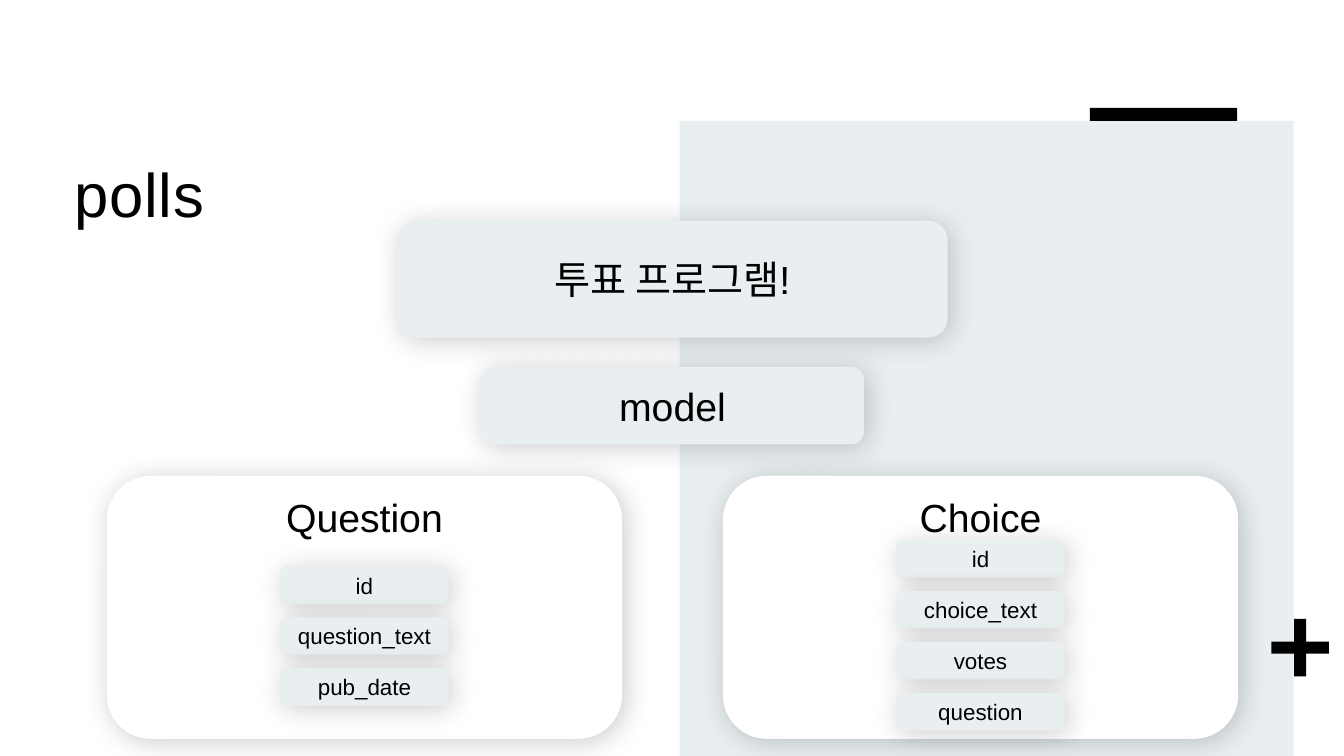
from pptx import Presentation
from pptx.util import Inches, Pt
from pptx.dml.color import RGBColor
from pptx.enum.shapes import MSO_SHAPE
from pptx.enum.text import MSO_ANCHOR, MSO_AUTO_SIZE, PP_ALIGN
from pptx.oxml import parse_xml
from pptx.oxml.ns import nsdecls, qn

THEME = {
    "font": "Arial",
    "ink": RGBColor(0x00, 0x00, 0x00),
    "mist": RGBColor(0xE9, 0xEF, 0xF1),
    "paper": RGBColor(0xFF, 0xFF, 0xFF),
    "title": Pt(44),
    "heading": Pt(28),
    "field": Pt(16),
}
SHADOW = (
    f'<a:outerShdw {nsdecls("a")} blurRad="{Pt(20)}" dist="{Pt(3)}" dir="2700000" '
    'algn="tl" rotWithShape="0"><a:srgbClr val="000000"><a:alpha val="20000"/>'
    '</a:srgbClr></a:outerShdw>'
)


def add_block(kind, box, color):
    s = slide.shapes.add_shape(kind, *[Inches(v) for v in box])
    s.shadow.inherit = False
    s.fill.solid()
    s.fill.fore_color.rgb = THEME[color]
    s.line.fill.background()
    return s


def add_card(text, box, color, size, anchor=MSO_ANCHOR.MIDDLE):
    s = add_block(MSO_SHAPE.ROUNDED_RECTANGLE, box, color)
    s._element.spPr.find(qn("a:effectLst")).append(parse_xml(SHADOW))
    tf = s.text_frame
    tf.word_wrap = True
    tf.vertical_anchor = anchor
    tf.text = text
    p = tf.paragraphs[0]
    p.alignment = PP_ALIGN.CENTER
    r = p.runs[0]
    r.font.name = THEME["font"]
    r.font.size = THEME[size]
    r.font.color.rgb = THEME["ink"]


prs = Presentation()
prs.slide_width = Inches(13.33)
prs.slide_height = Inches(7.5)
slide = prs.slides.add_slide(prs.slide_layouts[5])

add_block(MSO_SHAPE.RECTANGLE, (6.74, 1.2, 6.09, 6.3), "mist")
plus = add_block(MSO_SHAPE.CROSS, (12.61, 6.14, 0.57, 0.57), "ink")
plus.adjustments[0] = 0.395
add_block(MSO_SHAPE.RECTANGLE, (10.81, 1.07, 1.46, 0.13), "ink")

title = slide.shapes.title
title.left, title.top = Inches(0.62), Inches(1.32)
title.width, title.height = Inches(9.04), Inches(1.58)
tf = title.text_frame
tf.text = "polls"
tf.word_wrap = True
tf.auto_size = MSO_AUTO_SIZE.NONE
tf.vertical_anchor = MSO_ANCHOR.TOP
tf.margin_left = tf.margin_top = tf.margin_right = Inches(0.12)
tf.margin_bottom = Inches(0.1)
p = tf.paragraphs[0]
p.alignment = PP_ALIGN.LEFT
p.line_spacing = 1.14
r = p.runs[0]
r.font.name = THEME["font"]
r.font.size = THEME["title"]
r.font.color.rgb = THEME["ink"]
r.font._element.set("spc", "50")

add_card("투표 프로그램!", (3.94, 2.19, 5.46, 1.16), "mist", "heading")
add_card("model", (4.77, 3.64, 3.8, 0.77), "mist", "heading")

models = [
    ("Question", 1.06, 5.62, ["id", "question_text", "pub_date"]),
    ("Choice", 7.17, 5.36, ["id", "choice_text", "votes", "question"]),
]
card_w, field_w, field_step = 5.11, 1.67, 0.505
for name, left, first_top, fields in models:
    add_card(name, (left, 4.72, card_w, 2.61), "paper", "heading", MSO_ANCHOR.TOP)
    field_left = left + (card_w - field_w) / 2
    for i, field in enumerate(fields):
        add_card(field, (field_left, first_top + i * field_step, field_w, 0.37), "mist", "field")

prs.save("out.pptx")
